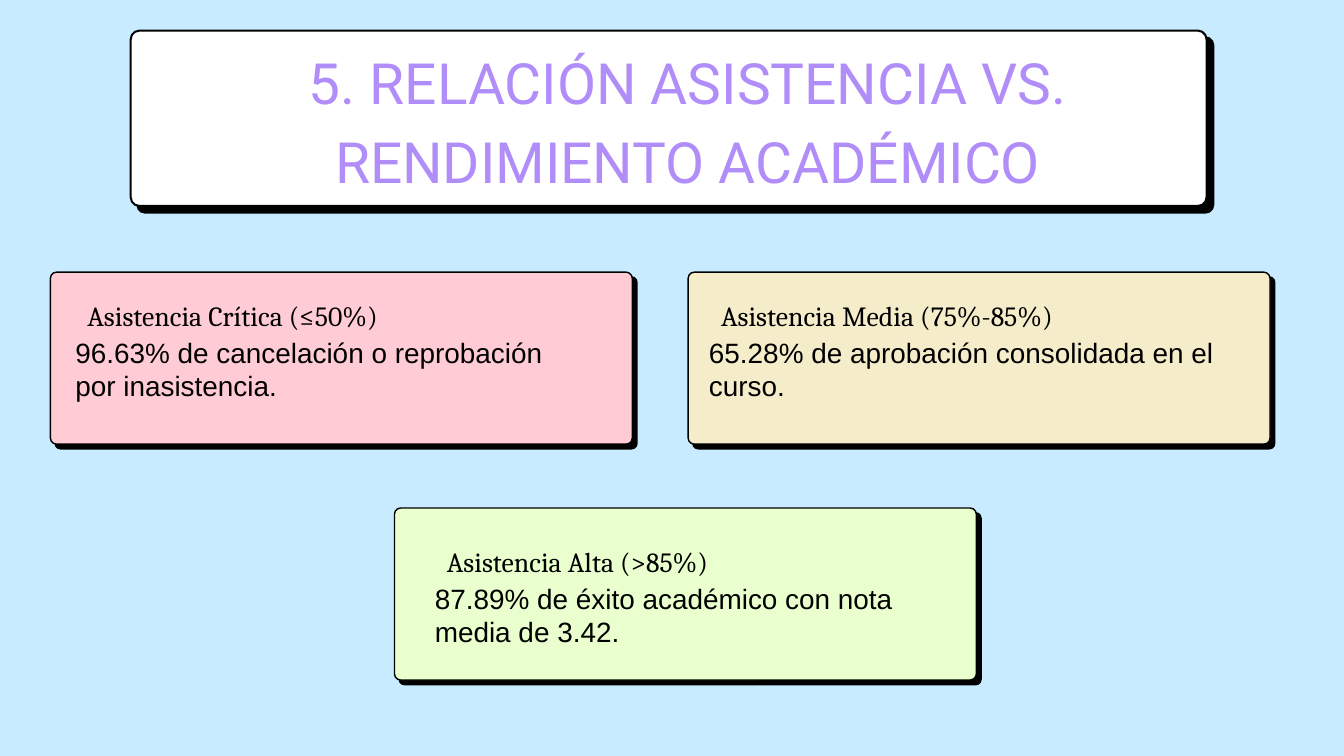
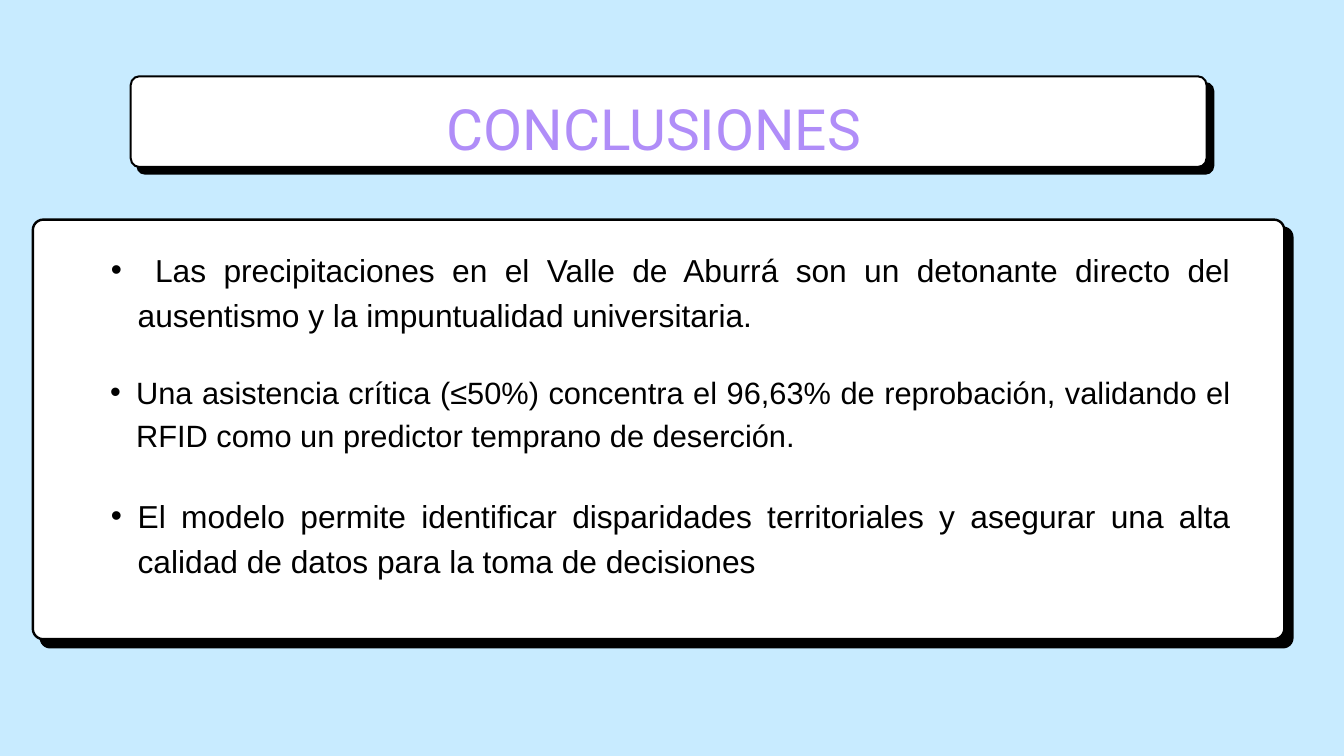
from pptx import Presentation
from pptx.dml.color import RGBColor
from pptx.enum.shapes import MSO_SHAPE as Shape
from pptx.enum.text import MSO_AUTO_SIZE as AutoSize, PP_ALIGN as Align
from pptx.oxml.ns import qn
from pptx.util import Inches, Pt
from lxml.etree import SubElement

SKY, WHITE, BLACK, PURPLE = "C8EBFF", "FFFFFF", "000000", "B08DF8"
PINK, CREAM, LIME = "FFCCD6", "F5ECCA", "E9FFCD"
TITLE_FONT, HEADING_FONT, BODY_FONT = "Roboto", "Cambria", "Arial"


def color(value):
    return RGBColor.from_string(value)


class Deck:
    """Holds the shared style and the slide being built."""

    def __init__(self):
        self.presentation = Presentation()
        self.presentation.slide_width = Inches(20)
        self.presentation.slide_height = Inches(11.25)
        self.slide = None

    def new_slide(self):
        self.slide = self.presentation.slides.add_slide(
            self.presentation.slide_layouts[6])
        background = self.slide.background.fill
        background.solid()
        background.fore_color.rgb = color(SKY)

    def rounded(self, left, top, width, height, fill, radius):
        shape = self.slide.shapes.add_shape(
            Shape.ROUNDED_RECTANGLE,
            Inches(left), Inches(top), Inches(width), Inches(height))
        shape.adjustments[0] = radius / min(width, height)
        shape.shadow.inherit = False
        shape.fill.solid()
        shape.fill.fore_color.rgb = color(fill)
        shape.line.fill.background()
        return shape

    def card(self, left, top, width, height, fill, depth):
        """Outlined panel over a solid black block shifted by depth."""
        border, radius = 0.3 * depth, 1.3 * depth
        self.rounded(left + depth, top + depth, width, height, BLACK, radius)
        face = self.rounded(left + border / 2, top + border / 2,
                            width - border, height - border, fill, radius)
        face.line.color.rgb = color(BLACK)
        face.line.width = Pt(border * 72)

    def text(self, left, top, width, height, words, font, size, spacing,
             ink=BLACK, align=Align.LEFT, bullet=False):
        box = self.slide.shapes.add_textbox(
            Inches(left), Inches(top), Inches(width), Inches(height))
        frame = box.text_frame
        frame.word_wrap = True
        frame.auto_size = AutoSize.SHAPE_TO_FIT_TEXT
        frame.margin_left = frame.margin_right = 0
        frame.margin_top = frame.margin_bottom = 0
        paragraph = frame.paragraphs[0]
        paragraph.alignment = align
        paragraph.line_spacing = Pt(spacing)
        if bullet:
            paragraph.level = 1
            indent = Inches(size * 0.0235)
            properties = paragraph._p.get_or_add_pPr()
            properties.set("marL", str(indent))
            properties.set("indent", str(-indent // 2))
            SubElement(properties, qn("a:buFont")).set("typeface", BODY_FONT)
            SubElement(properties, qn("a:buChar")).set("char", "•")
        run = paragraph.add_run()
        run.text = words
        run.font.name = font
        run.font.size = Pt(size)
        run.font.color.rgb = color(ink)

    def title(self, words, card_top, card_height, left, top, width, height):
        self.card(1.93, card_top, 16.04, card_height, WHITE, 0.1)
        self.text(left, top, width, height, words, TITLE_FONT, 60.9, 85.2,
                  PURPLE, Align.CENTER)

    def finding(self, left, top, fill, inset, drop, heading, body):
        """Coloured card with a heading and a two-line result."""
        self.card(left, top, 8.68, 2.58, fill, 0.07)
        self.text(left + inset, top + drop + 0.62, 7.52, 0.99, body,
                  BODY_FONT, 29.9, 35.9)
        self.text(left + inset + 0.18, top + drop, 5.39, 0.55, heading,
                  HEADING_FONT, 29.7, 41.5)

    def bullet(self, top, size, words):
        self.text(1.25, top, 17.07, 1.3, words, BODY_FONT, size, 1.4 * size,
                  align=Align.JUSTIFY, bullet=True)


def attendance_slide(deck):
    deck.new_slide()
    deck.title("5. RELACIÓN ASISTENCIA VS. RENDIMIENTO ACADÉMICO",
               0.44, 2.64, 3.77, 0.54, 12.93, 2.33)
    # Attendance levels
    deck.finding(0.74, 4.04, PINK, 0.38, 0.33, "Asistencia Crítica (≤50%)",
                 "96.63% de cancelación o reprobación por inasistencia.")
    deck.finding(10.23, 4.04, CREAM, 0.32, 0.33, "Asistencia Media (75%-85%)",
                 "65.28% de aprobación consolidada en el curso.")
    deck.finding(5.86, 7.55, LIME, 0.61, 0.48, "Asistencia Alta (>85%)",
                 "87.89% de éxito académico con nota media de 3.42.")


def conclusions_slide(deck):
    deck.new_slide()
    deck.card(0.47, 3.25, 18.66, 6.28, WHITE, 0.12)
    deck.title("CONCLUSIONES", 1.12, 1.38, 2.58, 1.22, 14.3, 1.15)
    # Evenly spaced conclusions
    conclusions = [
        (34, " Las precipitaciones en el Valle de Aburrá son un detonante "
             "directo del ausentismo y la impuntualidad universitaria."),
        (33, "Una asistencia crítica (≤50%) concentra el 96,63% de "
             "reprobación, validando el RFID como un predictor temprano "
             "de deserción."),
        (34, "El modelo permite identificar disparidades territoriales y "
             "asegurar una alta calidad de datos para la toma de decisiones"),
    ]
    for index, (size, words) in enumerate(conclusions):
        deck.bullet(3.64 + 1.83 * index, size, words)


def main():
    deck = Deck()
    attendance_slide(deck)
    conclusions_slide(deck)
    deck.presentation.save("out.pptx")


if __name__ == "__main__":
    main()
